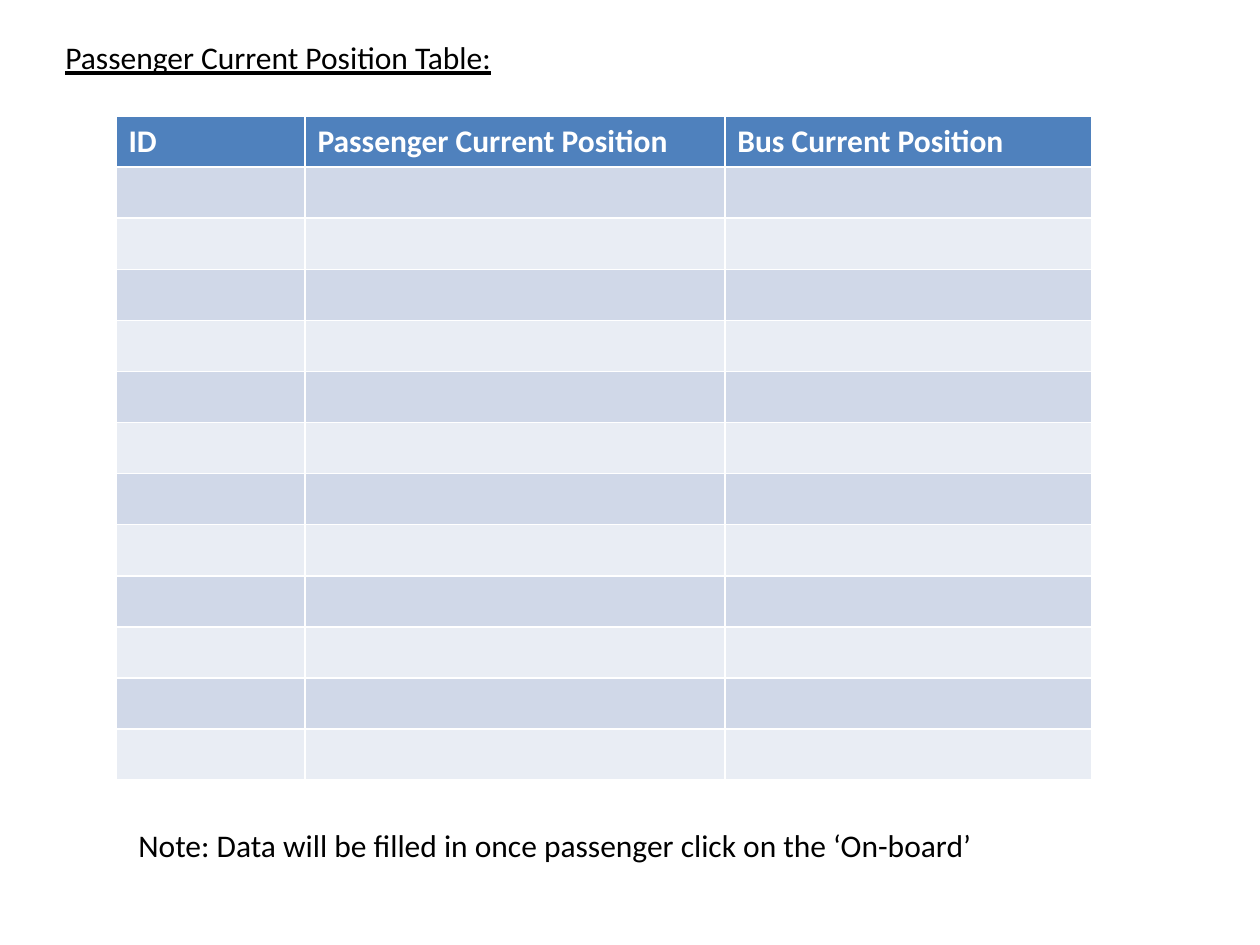
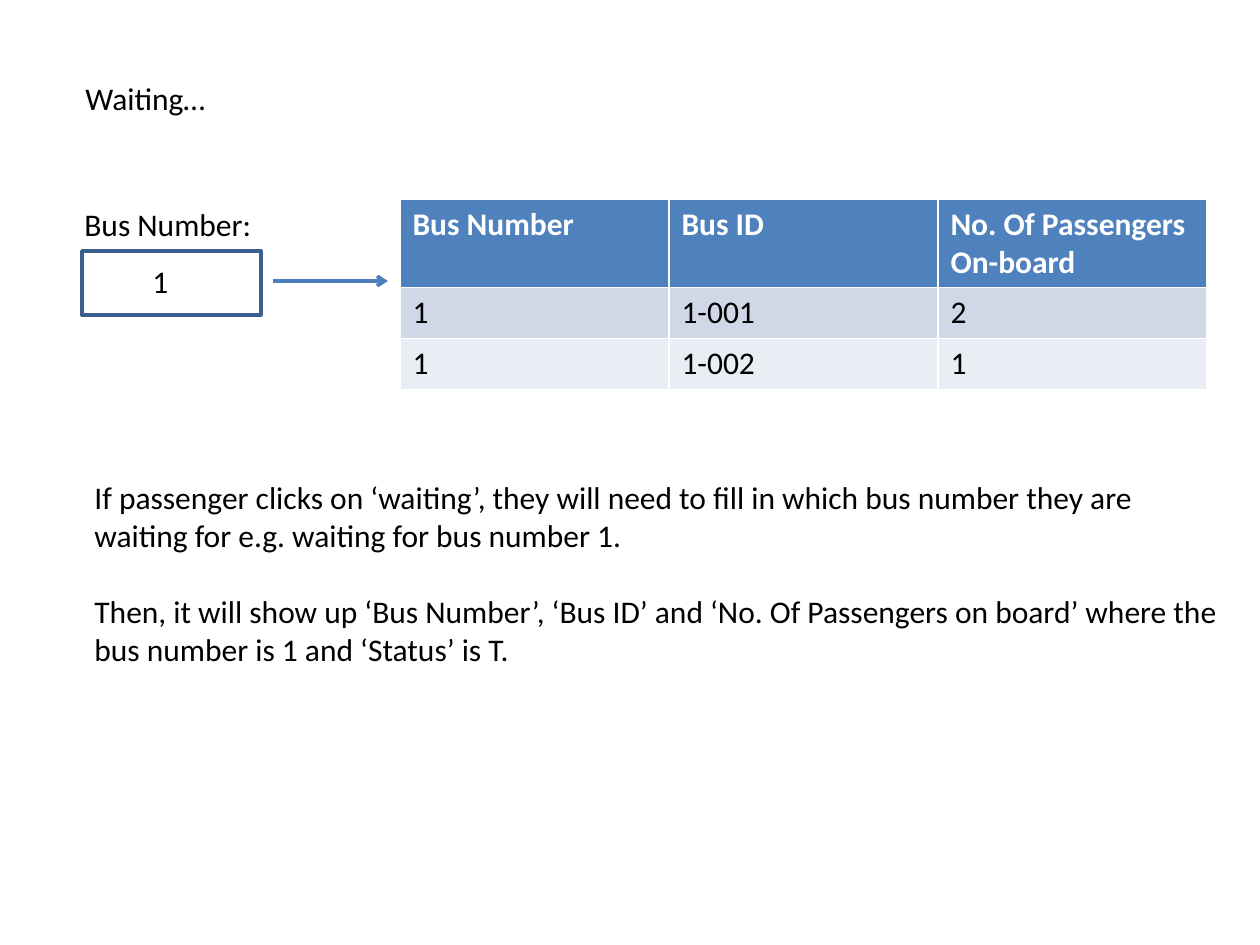
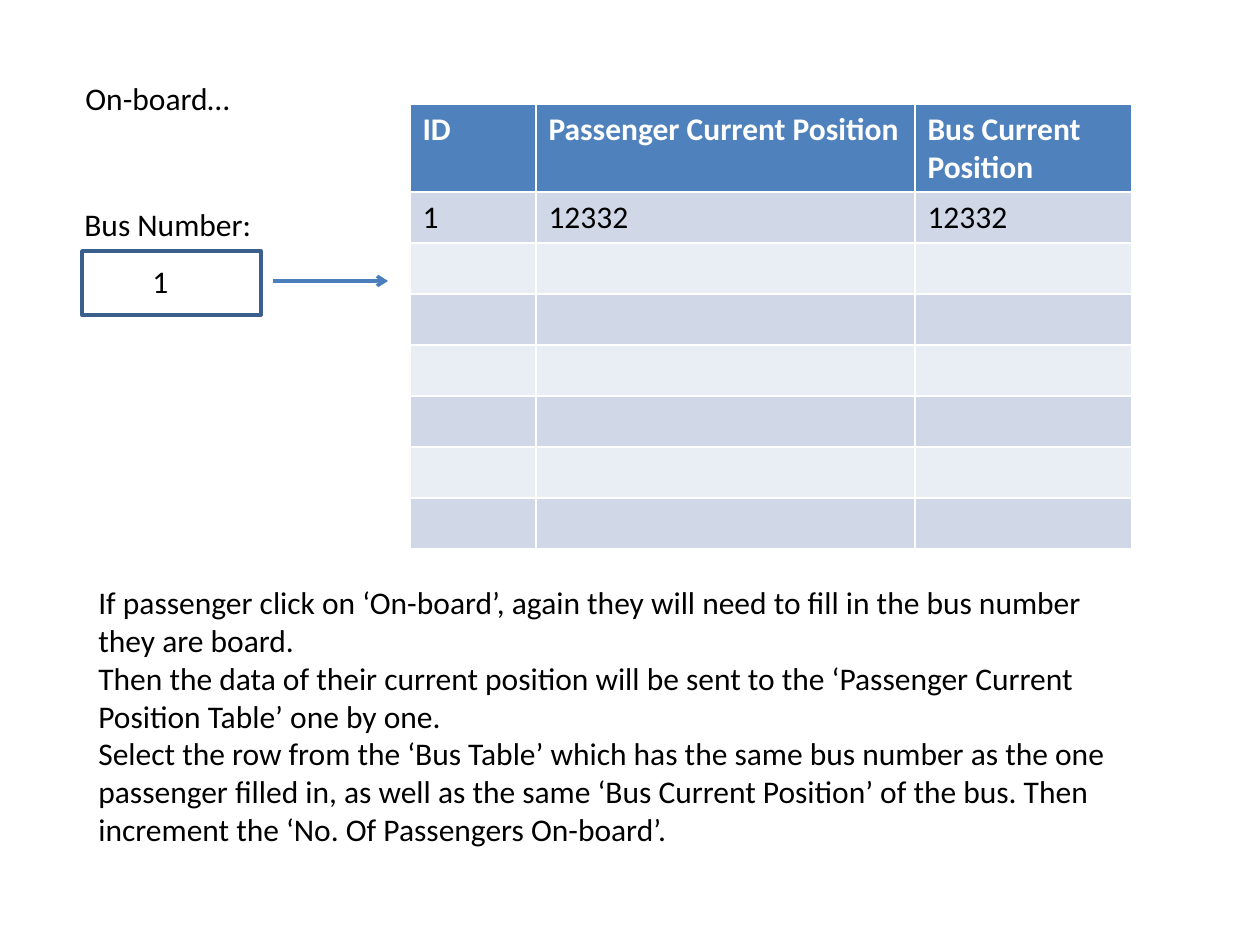
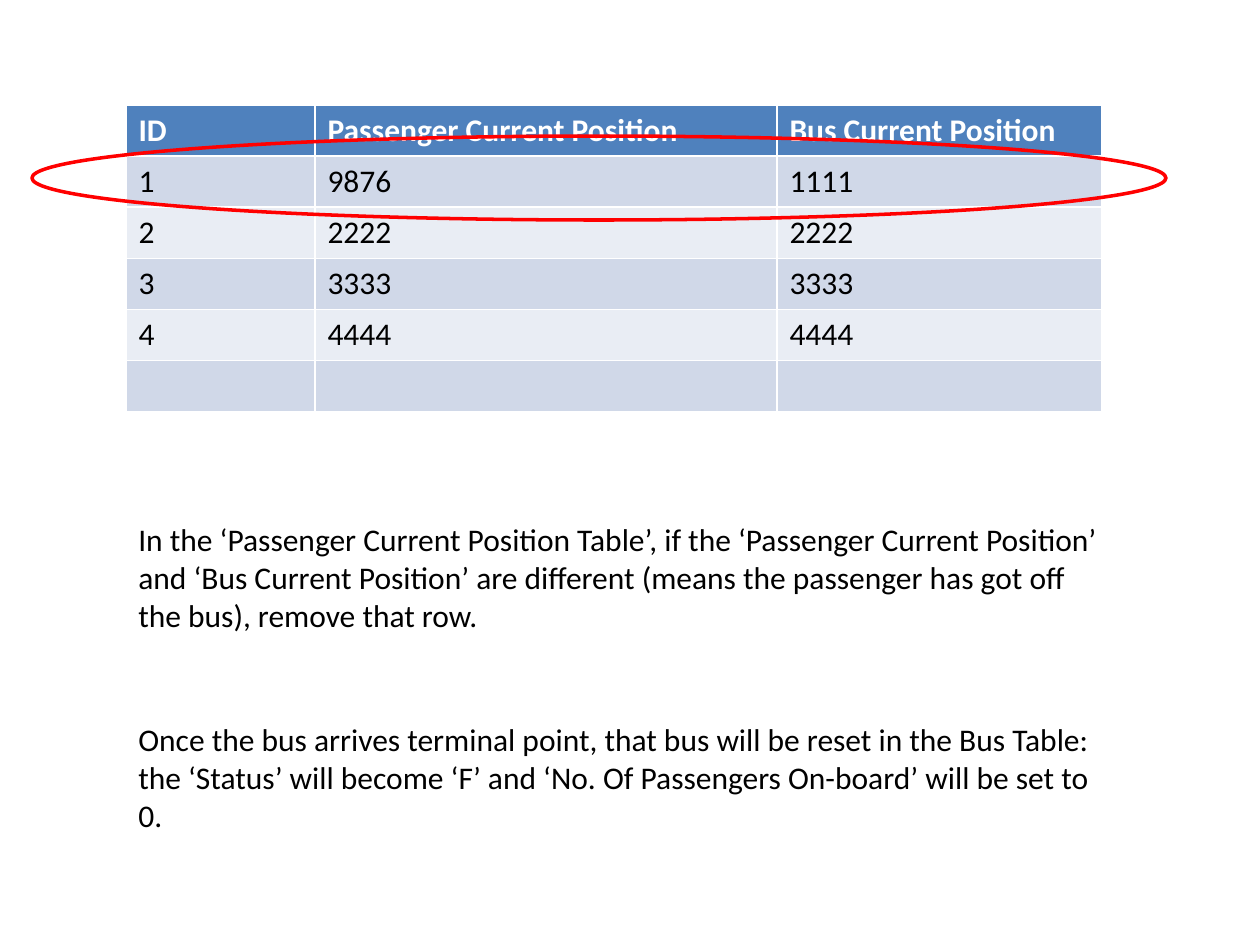
from lxml import etree
from pptx import Presentation
from pptx.dml.color import RGBColor
from pptx.enum.shapes import MSO_CONNECTOR, MSO_SHAPE
from pptx.enum.text import MSO_AUTO_SIZE
from pptx.oxml.ns import qn
from pptx.util import Emu, Pt

PIXEL = 914400 // 126
SLIDE_WIDTH, SLIDE_HEIGHT = 1260, 945
BLANK_LAYOUT = 6

FONT = "Calibri"
TEXT_SIZE = 18
BLANK_LINE = 22
STROKE = Pt(2)
LINE_HEIGHT = 51
TWO_LINES = 88

BLACK = RGBColor(0x00, 0x00, 0x00)
WHITE = RGBColor(0xFF, 0xFF, 0xFF)
HEADER_BLUE = RGBColor(0x4F, 0x81, 0xBD)
BAND_DARK = RGBColor(0xD0, 0xD8, 0xE8)
BAND_LIGHT = RGBColor(0xE9, 0xED, 0xF4)
BOX_BLUE = RGBColor(0x3A, 0x5F, 0x8C)
ARROW_BLUE = RGBColor(0x4B, 0x7E, 0xBC)
RED = RGBColor(0xFF, 0x00, 0x00)

RECTANGLE = MSO_SHAPE.RECTANGLE
ELLIPSE = MSO_SHAPE.OVAL
STRAIGHT = MSO_CONNECTOR.STRAIGHT
GROW = MSO_AUTO_SIZE.SHAPE_TO_FIT_TEXT

POSITION_HEADINGS = ["ID", "Passenger Current Position", "Bus Current Position"]


def px(*lengths):
    """Turn pixel lengths into EMU."""
    return [Emu(length * PIXEL) for length in lengths]


def write(frame, *paragraphs, color=BLACK, bold=False, underline=False, gap=0):
    """Fill a text frame, with a gap in points between paragraphs."""
    for index, words in enumerate(paragraphs):
        paragraph = frame.add_paragraph() if index else frame.paragraphs[0]
        if index and gap:
            paragraph.space_before = Pt(gap)
        run = paragraph.add_run()
        run.text = words
        font = run.font
        font.name, font.size = FONT, Pt(TEXT_SIZE)
        font.color.rgb = color
        font.bold, font.underline = bold, underline


class Deck:
    """Hold the presentation and the slide being built."""

    def __init__(self):
        """Start a presentation of the given size."""
        self.deck = Presentation()
        self.deck.slide_width, self.deck.slide_height = px(SLIDE_WIDTH, SLIDE_HEIGHT)
        self.shapes = None

    def new_slide(self):
        """Add a blank slide and make it current."""
        layout = self.deck.slide_layouts[BLANK_LAYOUT]
        self.shapes = self.deck.slides.add_slide(layout).shapes

    def text(self, left, top, width, *paragraphs, height=LINE_HEIGHT, **style):
        """Add a wrapped text box that grows with its text."""
        frame = self.shapes.add_textbox(*px(left, top, width, height)).text_frame
        frame.word_wrap = True
        frame.auto_size = GROW
        write(frame, *paragraphs, **style)

    def outline(self, kind, left, top, width, height, color):
        """Add an unfilled preset shape."""
        shape = self.shapes.add_shape(kind, *px(left, top, width, height))
        shape.shadow.inherit = False
        shape.fill.background()
        shape.line.color.rgb = color
        shape.line.width = STROKE

    def arrow(self, left, right, y):
        """Add a horizontal arrow pointing right."""
        arrow = self.shapes.add_connector(STRAIGHT, *px(left, y, right, y))
        arrow.line.color.rgb = ARROW_BLUE
        arrow.line.width = STROKE
        properties = arrow._element.spPr
        etree.SubElement(properties.find(qn("a:ln")), qn("a:tailEnd"), type="arrow")
        etree.SubElement(properties, qn("a:effectLst"))

    def table(self, left, top, widths, headings, records=(), empty_rows=0,
              header_height=LINE_HEIGHT):
        """Add a banded table: headings, records, then empty rows."""
        rows = [headings, *records, *[[""] * len(headings)] * empty_rows]
        height = header_height + LINE_HEIGHT * (len(rows) - 1)
        table = self.shapes.add_table(
            len(rows), len(widths), *px(left, top, sum(widths), height)).table
        for column, width in zip(table.columns, px(*widths)):
            column.width = width
        for number, values in enumerate(rows):
            is_header = number == 0
            band = BAND_DARK if number % 2 else BAND_LIGHT
            row_height = header_height if is_header else LINE_HEIGHT
            table.rows[number].height = px(row_height)[0]
            for cell, value in zip(table.rows[number].cells, values):
                cell.fill.solid()
                cell.fill.fore_color.rgb = HEADER_BLUE if is_header else band
                if value:
                    write(cell.text_frame, value, bold=is_header,
                          color=WHITE if is_header else BLACK)

    def bus_number_form(self, status):
        """Add the status, the filled-in bus number and the arrow to its result."""
        self.text(73, 73, 399, status)
        self.text(72, 199, 231, "Bus Number:")
        self.outline(RECTANGLE, 82, 251, 179, 64, BOX_BLUE)
        self.text(140, 256, 53, "1")
        self.arrow(273, 388, 281)

    def save(self):
        """Write the file."""
        self.deck.save("out.pptx")


def position_table_slide(deck):
    """Show the empty passenger position table."""
    deck.new_slide()
    deck.table(116, 116, [189, 420, 367], POSITION_HEADINGS, empty_rows=12)
    deck.text(53, 32, 609, "Passenger Current Position Table:", underline=True)
    deck.text(126, 820, 955,
              "Note: Data will be filled in once passenger click on the ‘On-board’")


def waiting_slide(deck):
    """Show what a waiting passenger sees."""
    deck.new_slide()
    deck.bus_number_form("Waiting…")
    deck.table(400, 199, [269] * 3,
               ["Bus Number", "Bus ID", "No. Of Passengers On-board"],
               [["1", "1-001", "2"], ["1", "1-002", "1"]],
               header_height=TWO_LINES)
    deck.text(82, 472, 1157,
              "If passenger clicks on ‘waiting’, they will need to fill in which bus "
              "number they are waiting for e.g. waiting for bus number 1.",
              "Then, it will show up ‘Bus Number’, ‘Bus ID’ and ‘No. Of Passengers on "
              "board’ where the bus number is 1 and ‘Status’ is T.",
              height=204, gap=BLANK_LINE)


def on_board_slide(deck):
    """Show what happens when a passenger boards."""
    deck.new_slide()
    deck.bus_number_form("On-board…")
    deck.table(410, 104, [126, 379, 217], POSITION_HEADINGS,
               [["1", "12332", "12332"]], empty_rows=6, header_height=TWO_LINES)
    deck.text(86, 577, 1046,
              "If passenger click on ‘On-board’, again they will need to fill in the "
              "bus number they are board.",
              "Then the data of their current position will be sent to the ‘Passenger "
              "Current Position Table’ one by one.",
              "Select the row from the ‘Bus Table’ which has the same bus number as the "
              "one passenger filled in, as well as the same ‘Bus Current Position’ of "
              "the bus. Then increment the ‘No. Of Passengers On-board’.",
              height=280)


def getting_off_slide(deck):
    """Show the row removed when a passenger gets off."""
    deck.new_slide()
    deck.table(126, 105, [189, 462, 325], POSITION_HEADINGS,
               [["1", "9876", "1111"], ["2", "2222", "2222"],
                ["3", "3333", "3333"], ["4", "4444", "4444"]], empty_rows=1)
    deck.outline(ELLIPSE, 32, 136, 1134, 84, RED)
    deck.text(126, 514, 998,
              "In the ‘Passenger Current Position Table’, if the ‘Passenger Current "
              "Position’ and ‘Bus Current Position’ are different (means the passenger "
              "has got off the bus), remove that row.", height=127)
    deck.text(126, 714, 998,
              "Once the bus arrives terminal point, that bus will be reset in the Bus "
              "Table: the ‘Status’ will become ‘F’ and ‘No. Of Passengers On-board’ "
              "will be set to 0.", height=127)


def main():
    """Build all slides and save them."""
    deck = Deck()
    position_table_slide(deck)
    waiting_slide(deck)
    on_board_slide(deck)
    getting_off_slide(deck)
    deck.save()


main()
